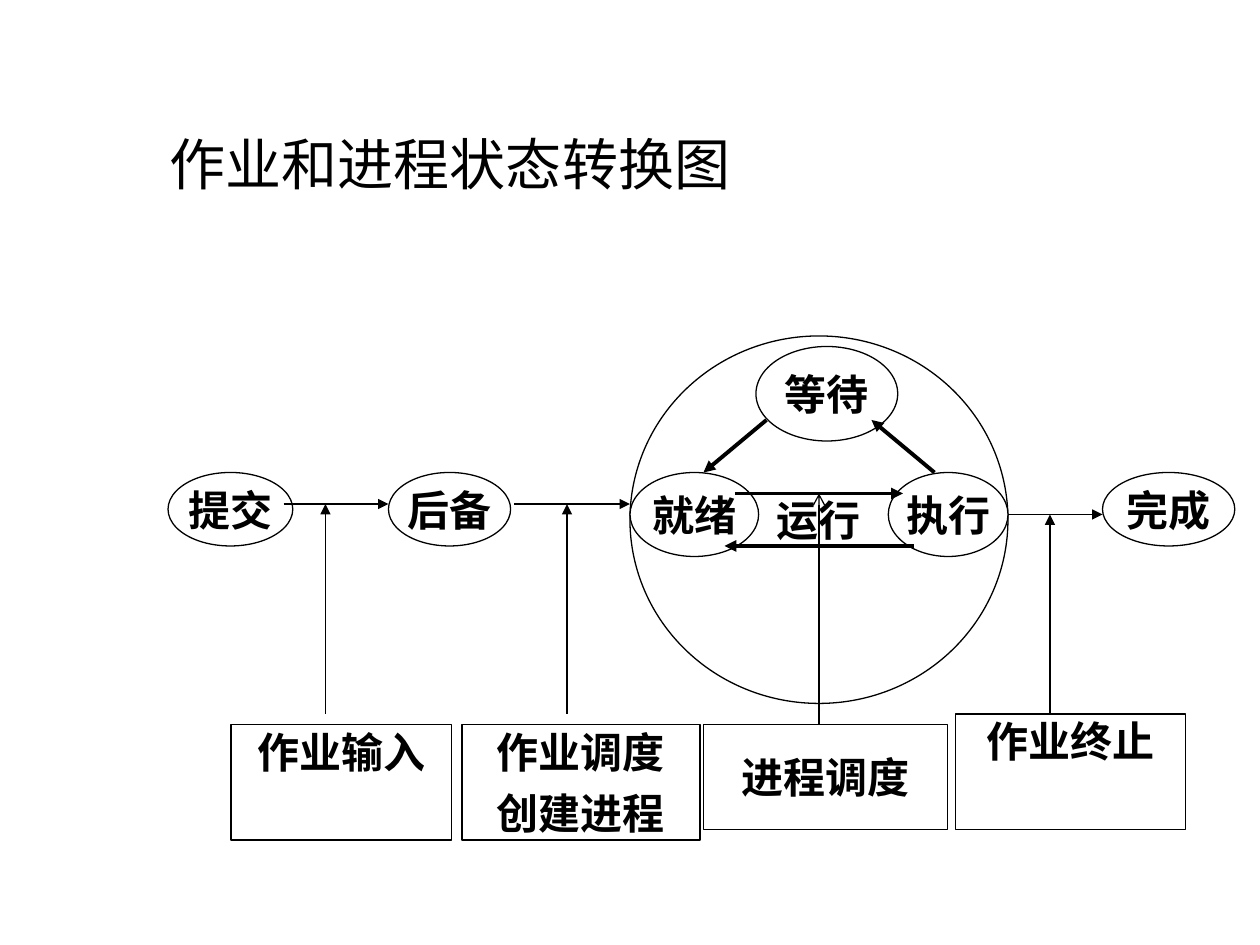
from lxml import etree
from pptx import Presentation
from pptx.dml.color import RGBColor
from pptx.enum import shapes, text
from pptx.oxml.ns import qn
from pptx.util import Pt

BLACK, WHITE = "000000", "FFFFFF"
CJK_FONT = "Noto Sans CJK SC"
OVAL, BOX = shapes.MSO_SHAPE.OVAL, shapes.MSO_SHAPE.RECTANGLE
THIN, THICK = 0.75, 2.25

# All lengths are points: left, top, width, height
TITLE = ("作业和进程状态转换图", (90, 48, 576, 90))
JOB_STATES = [
    ("提交", (96, 270, 71.3, 42)),
    ("后备", (222, 270, 69.8, 42)),
    ("运行", (360, 192, 216, 210)),
    ("完成", (630, 270, 75.6, 42)),
]
PROCESS_STATES = [
    ("就绪", (360, 270, 73.5, 48)),
    ("执行", (507.6, 270, 68.4, 48)),
    ("等待", (432, 198, 81, 54)),
]
# lines of text, place, whether the text sits at the top
EVENTS = [
    (["作业输入"], (132, 414, 126, 66), True),
    (["作业调度", "创建进程"], (264, 414, 136, 66), False),
    (["进程调度"], (402, 414, 139.5, 60), False),
    (["作业终止"], (546, 408, 131.5, 66), True),
]
# x and y of the start, x and y of the end
JOB_ARROWS = [
    (162, 288, 222, 288),
    (294, 288, 360, 288),
    (576, 294, 630, 294),
    (186, 408, 186, 288),
    (324, 408, 324, 288),
    (600, 408, 600, 294),
]
PROCESS_ARROWS = [
    (420, 282, 516, 282),
    (522, 312, 414, 312),
    (534, 270, 498, 240),
    (438, 240, 402, 270),
]
SCHEDULING_ARROW = (468, 414, 468, 282)


def color(value):
    return RGBColor.from_string(value)


def add_text_shape(slide, kind, place, lines, line_color=BLACK, font="", size=24,
                   bold=True, align=text.PP_ALIGN.CENTER, wrap=False, at_top=False):
    shape = slide.shapes.add_shape(kind, *map(Pt, place))
    shape.shadow.inherit = False
    shape.fill.solid()
    shape.fill.fore_color.rgb = color(WHITE)
    shape.line.color.rgb = color(line_color)
    shape.line.width = Pt(THIN)
    frame = shape.text_frame
    frame.word_wrap = wrap
    frame.vertical_anchor = text.MSO_ANCHOR.TOP if at_top else text.MSO_ANCHOR.MIDDLE
    if at_top:
        frame.margin_top = Pt(1)
    for index, line in enumerate(lines):
        paragraph = frame.add_paragraph() if index else frame.paragraphs[0]
        paragraph.alignment = align
        if index:
            paragraph.space_before = Pt(6)
        run = paragraph.add_run()
        run.text = line
        run.font.size = Pt(size)
        run.font.bold = bold
        run.font.color.rgb = color(BLACK)
        run.font.name = font or CJK_FONT
        east_asian = etree.SubElement(run.font._element, qn("a:ea"))
        east_asian.set("typeface", CJK_FONT)


def add_arrow(slide, ends, width=THIN, head="triangle"):
    arrow = slide.shapes.add_connector(shapes.MSO_CONNECTOR.STRAIGHT, *map(Pt, ends))
    arrow.line.color.rgb = color(BLACK)
    arrow.line.width = Pt(width)
    etree.SubElement(arrow.line._get_or_add_ln(), qn("a:tailEnd")).set("type", head)
    etree.SubElement(arrow._element.spPr, qn("a:effectLst"))


def main():
    presentation = Presentation()
    presentation.slide_width, presentation.slide_height = Pt(720), Pt(540)
    slide = presentation.slides.add_slide(presentation.slide_layouts[6])

    title, place = TITLE
    add_text_shape(slide, BOX, place, [title], line_color=WHITE, font="Times New Roman",
                   size=32, bold=False, align=text.PP_ALIGN.LEFT, wrap=True)
    for name, place in JOB_STATES:
        add_text_shape(slide, OVAL, place, [name])
    for lines, place, at_top in EVENTS:
        add_text_shape(slide, BOX, place, lines, at_top=at_top)
    for ends in JOB_ARROWS:
        add_arrow(slide, ends)
    for name, place in PROCESS_STATES:
        add_text_shape(slide, OVAL, place, [name])
    for ends in PROCESS_ARROWS:
        add_arrow(slide, ends, width=THICK)
    add_arrow(slide, SCHEDULING_ARROW, head="arrow")

    presentation.save("out.pptx")


if __name__ == "__main__":
    main()
